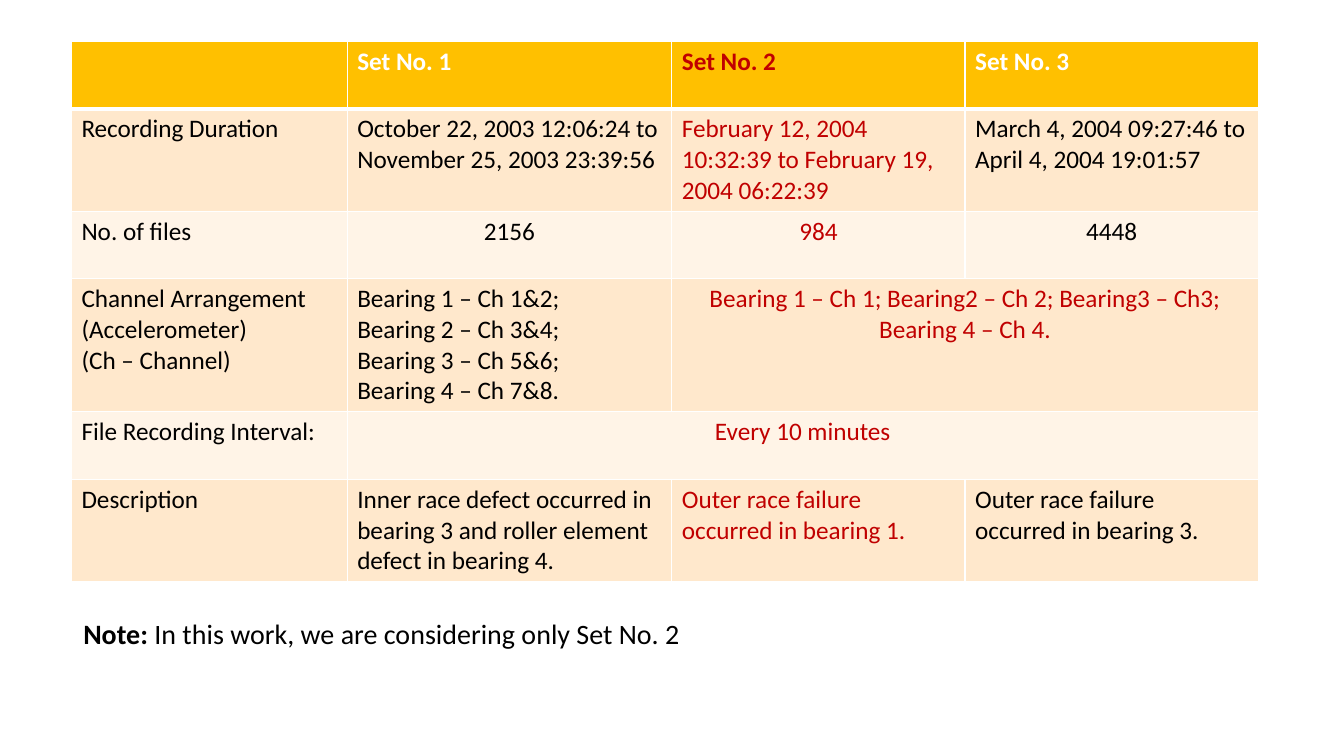
from lxml import etree
from pptx import Presentation
from pptx import util as u
from pptx.dml.color import RGBColor
from pptx.enum import text
from pptx.oxml.ns import qn

# None marks a cell that the cell to its left spreads over.
ROWS = [
    ["", "Set No. 1", "Set No. 2", "Set No. 3"],
    ["Recording Duration",
     "October 22, 2003 12:06:24 to November 25, 2003 23:39:56",
     "February 12, 2004 10:32:39 to February 19, 2004 06:22:39",
     "March 4, 2004 09:27:46 to April 4, 2004 19:01:57"],
    ["No. of files", "2156", "984", "4448"],
    ["Channel Arrangement (Accelerometer)\n(Ch – Channel)",
     "Bearing 1 – Ch 1&2;\nBearing 2 – Ch 3&4;\nBearing 3 – Ch 5&6;\nBearing 4 – Ch 7&8.",
     "Bearing 1 – Ch 1; Bearing2 – Ch 2; Bearing3 – Ch3; Bearing 4 – Ch 4.",
     None],
    ["File Recording Interval:", "Every 10 minutes", None, None],
    ["Description",
     "Inner race defect occurred in bearing 3 and roller element defect in bearing 4.",
     "Outer race failure occurred in bearing 1.",
     "Outer race failure occurred in bearing 3."],
]
NOTE = [("Note:", True), (" In this work, we are considering only Set No. 2", False)]

COLUMN_WIDTHS = [6.95, 8.18, 7.39, 7.39]
ROW_HEIGHT = 1.7
HEADER_FILL, BAND_FILLS = "FFC000", ["FFF4E7", "FFE8CC"]
WHITE, BLACK, HIGHLIGHT = "FFFFFF", "000000", "C00000"
HIGHLIGHT_COLUMN, COUNT_ROW = 2, 2


def color(value):
    """Turn a hex string into a colour."""
    return RGBColor.from_string(value)


def add_run(paragraph, words, ink, **formats):
    """Add a run of Calibri text with the given font values."""
    run = paragraph.add_run()
    run.text = words
    run.font.color.rgb = color(ink)
    for name, value in {"name": "Calibri", **formats}.items():
        setattr(run.font, name, value)


def add_borders(cell, widths):
    """Draw white cell borders, given widths in points by side."""
    properties = cell._tc.get_or_add_tcPr()
    for index, (side, width) in enumerate(widths.items()):
        line = etree.Element(qn(f"a:ln{side}"), w=str(u.Pt(width)))
        fill = etree.SubElement(line, qn("a:solidFill"))
        etree.SubElement(fill, qn("a:srgbClr"), val=WHITE)
        properties.insert(index, line)


def fill_cell(cell, words, row, column, merged):
    """Fill, border and write one table cell."""
    header = row == 0
    cell.fill.solid()
    cell.fill.fore_color.rgb = color(HEADER_FILL if header else BAND_FILLS[row % 2])
    add_borders(cell, {"L": 1, "R": 1, "T": 3 if row == 1 else 1, "B": 3 if header else 1})
    if not words:
        return
    highlighted = merged or column == HIGHLIGHT_COLUMN
    ink = HIGHLIGHT if highlighted else WHITE if header else BLACK
    centred = merged or (row == COUNT_ROW and column > 0)
    frame = cell.text_frame
    for index, line in enumerate(words.split("\n")):
        paragraph = frame.add_paragraph() if index else frame.paragraphs[0]
        paragraph.alignment = text.PP_ALIGN.CENTER if centred else text.PP_ALIGN.LEFT
        add_run(paragraph, line, ink, size=u.Pt(18), bold=header)


def add_data_table(slide):
    """Add the table that compares the three recording sets."""
    frame = slide.shapes.add_table(
        len(ROWS), len(COLUMN_WIDTHS), u.Cm(1.8), u.Cm(1.04),
        u.Cm(sum(COLUMN_WIDTHS)), u.Cm(ROW_HEIGHT * len(ROWS)))
    table = frame.table
    for column, width in zip(table.columns, COLUMN_WIDTHS):
        column.width = u.Cm(width)
    for row, entries in enumerate(ROWS):
        table.rows[row].height = u.Cm(ROW_HEIGHT)
        covered = entries.count(None)
        last_written = len(entries) - covered - 1
        if covered:
            table.cell(row, last_written).merge(table.cell(row, len(entries) - 1))
        for column, words in enumerate(entries):
            merged = covered > 0 and column >= last_written
            fill_cell(table.cell(row, column), words, row, column, merged)


def add_note(slide):
    """Add the note below the table."""
    box = slide.shapes.add_textbox(u.Cm(1.85), u.Cm(15.42), u.Cm(29.87), u.Cm(1.11))
    box.text_frame.word_wrap = True
    for words, bold in NOTE:
        add_run(box.text_frame.paragraphs[0], words, BLACK, size=u.Pt(20), bold=bold)


presentation = Presentation()
presentation.slide_width, presentation.slide_height = u.Cm(33.87), u.Cm(19.05)
slide = presentation.slides.add_slide(presentation.slide_layouts[6])
add_data_table(slide)
add_note(slide)
presentation.save("out.pptx")
